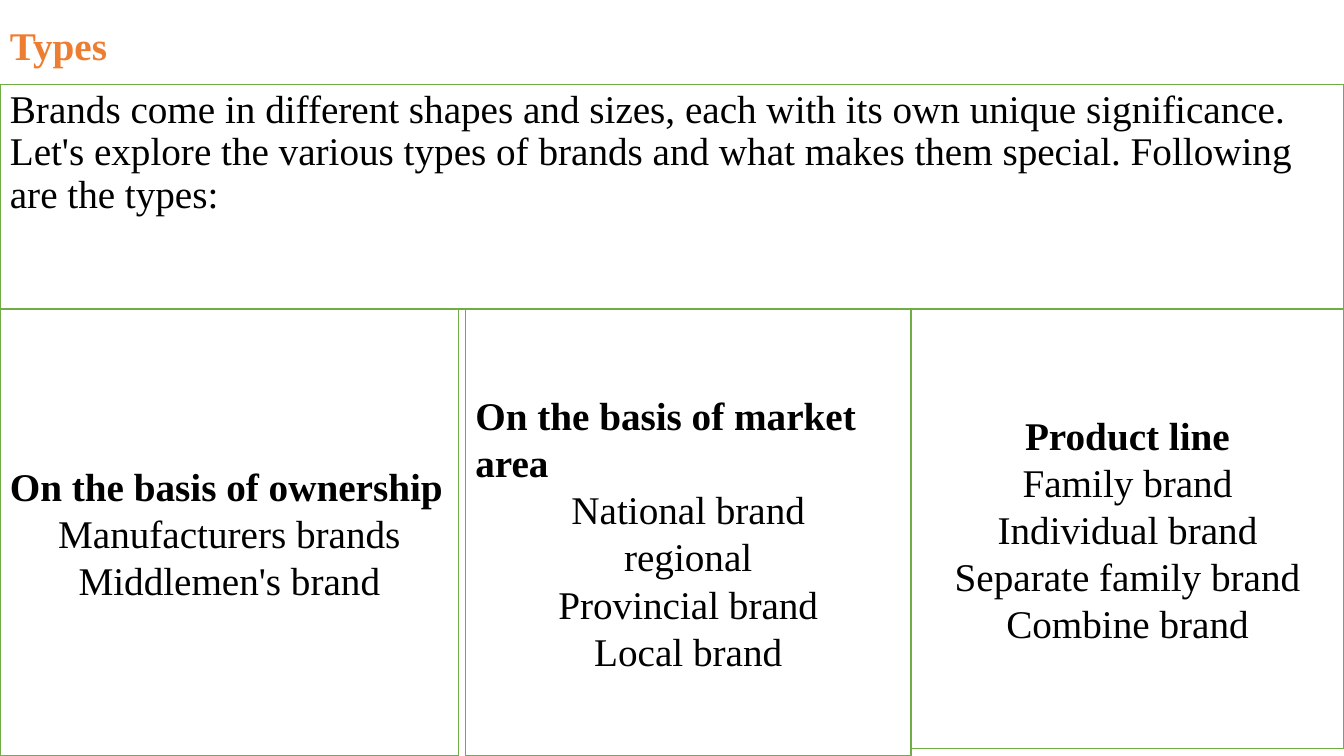
from pptx import Presentation
from pptx.dml.color import RGBColor
from pptx.enum.shapes import MSO_SHAPE
from pptx.enum.text import MSO_ANCHOR, PP_ALIGN
from pptx.util import Cm, Pt

RECTANGLE = MSO_SHAPE.RECTANGLE
TOP, MIDDLE = MSO_ANCHOR.TOP, MSO_ANCHOR.MIDDLE
LEFT, CENTER = PP_ALIGN.LEFT, PP_ALIGN.CENTER

COLORS = {"title": "ED7D31", "text": "000000", "fill": "FFFFFF", "border": "70AD47"}
FONT = {"name": "Times New Roman", "size": Pt(28)}

TITLE = "Types"
INTRO = (
    "Brands come in different shapes and sizes, each with its own unique significance. "
    "Let's explore the various types of brands and what makes them special. "
    "Following are the types:"
)
BRAND_TYPES = [
    {"heading": "On the basis of ownership", "align": LEFT,
     "brands": ["Manufacturers brands", "Middlemen's brand"],
     "left": 0, "width": 11.56, "height": 11.25},
    {"heading": "On the basis of market area", "align": LEFT,
     "brands": ["National brand", "regional", "Provincial brand", "Local brand"],
     "left": 11.73, "width": 11.23, "height": 11.25},
    {"heading": "Product line", "align": CENTER,
     "brands": ["Family brand", "Individual brand", "Separate family brand", "Combine brand"],
     "left": 22.96, "width": 10.91, "height": 11.07},
]

SLIDE_WIDTH, SLIDE_HEIGHT = 33.87, 19.05
TITLE_WIDTH, TITLE_HEIGHT = 31.55, 2.39
INTRO_TOP, INTRO_HEIGHT = 2.13, 5.66
COLUMN_TOP = 7.8


def color(name):
    return RGBColor.from_string(COLORS[name])


def add_panel(page, left, top, width, height):
    box = page.shapes.add_shape(RECTANGLE, Cm(left), Cm(top), Cm(width), Cm(height))
    box.shadow.inherit = False
    box.fill.solid()
    box.fill.fore_color.rgb = color("fill")
    box.line.color.rgb = color("border")
    box.line.width = Pt(1)
    return box


def write(box, lines, anchor, spacing=None):
    frame = box.text_frame
    frame.word_wrap = True
    frame.vertical_anchor = anchor
    for index, (text, align, bold, shade) in enumerate(lines):
        para = frame.add_paragraph() if index else frame.paragraphs[0]
        para.alignment = align
        para.line_spacing = spacing
        span = para.add_run()
        span.text = text
        for key, value in {**FONT, "bold": bold}.items():
            setattr(span.font, key, value)
        span.font.color.rgb = color(shade)


def main():
    deck = Presentation()
    deck.slide_width, deck.slide_height = Cm(SLIDE_WIDTH), Cm(SLIDE_HEIGHT)
    page = deck.slides.add_slide(deck.slide_layouts[6])

    title = page.shapes.add_textbox(0, 0, Cm(TITLE_WIDTH), Cm(TITLE_HEIGHT))
    write(title, [(TITLE, LEFT, True, "title")], MIDDLE, 0.9)

    intro = add_panel(page, 0, INTRO_TOP, SLIDE_WIDTH, INTRO_HEIGHT)
    write(intro, [(INTRO, LEFT, False, "text")], TOP, 0.9)

    for group in BRAND_TYPES:
        column = add_panel(page, group["left"], COLUMN_TOP, group["width"], group["height"])
        lines = [(group["heading"], group["align"], True, "text")]
        lines += [(brand, CENTER, False, "text") for brand in group["brands"]]
        write(column, lines, MIDDLE)

    deck.save("out.pptx")


if __name__ == "__main__":
    main()
